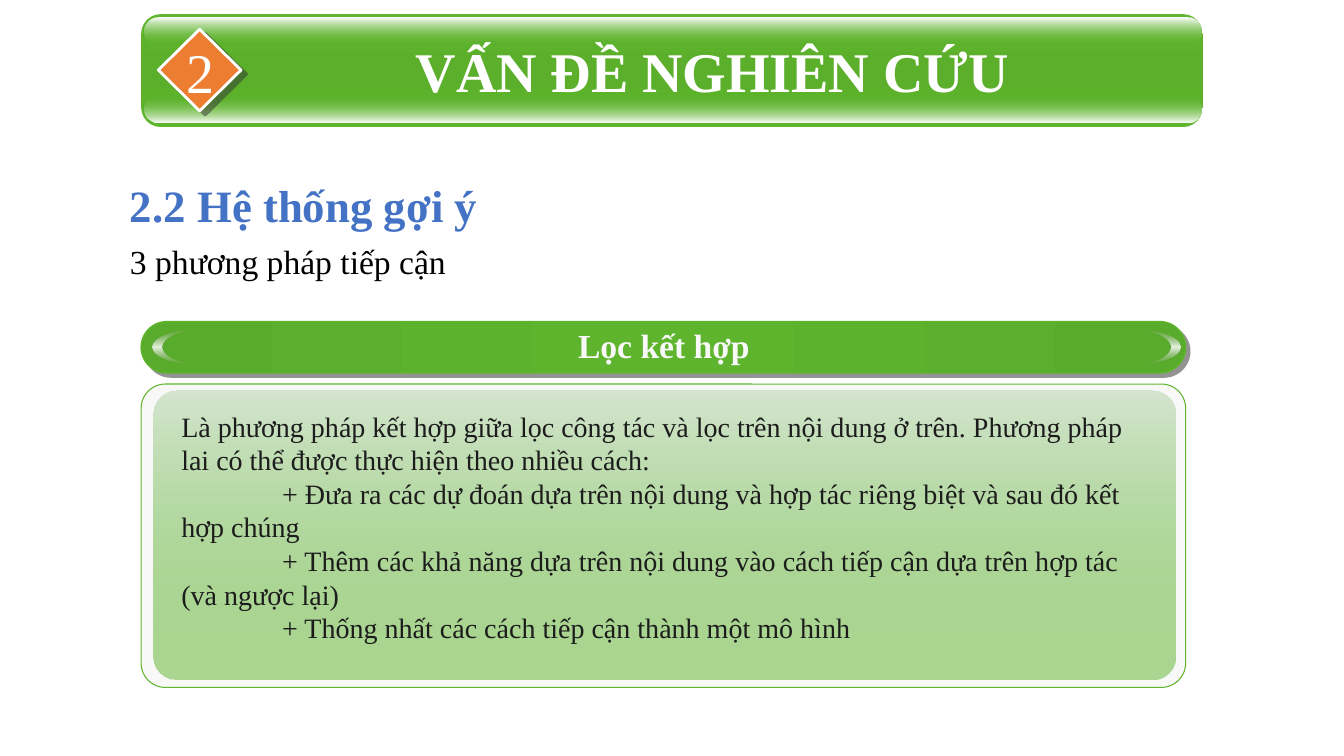
from lxml import etree
from pptx import Presentation
from pptx.dml.color import RGBColor
from pptx.enum.shapes import MSO_SHAPE as Shape
from pptx.enum.text import MSO_ANCHOR as Anchor, PP_ALIGN as Align
from pptx.oxml.ns import qn
from pptx.util import Inches, Pt

GREEN, WHITE, PALE = "5EB52D", "FFFFFF", "F8F8F8"


def rgb(value):
    return RGBColor.from_string(value)


def add_color(parent, color, alpha=100):
    node = etree.SubElement(parent, qn("a:srgbClr"), val=color)
    if alpha < 100:
        etree.SubElement(node, qn("a:alpha"), val=str(alpha * 1000))


class SlideBuilder:
    font_name = "Times New Roman"

    def __init__(self, slide):
        self.slide = slide
        self.shapes = slide.shapes

    def shape(self, kind, box, fill, adjust=None, line=None, angle=90, shadow=None):
        """Fill is a hex string or a list of (position, color, alpha) stops."""
        item = self.shapes.add_shape(kind, *map(Inches, box))
        if adjust is not None:
            item.adjustments[0] = adjust
        if isinstance(fill, str):
            item.fill.solid()
            item.fill.fore_color.rgb = rgb(fill)
        else:
            self.gradient(item, fill, angle)
        if line:
            color, width = line
            item.line.color.rgb = rgb(color)
            item.line.width = Pt(width)
        else:
            item.line.fill.background()
        item.shadow.inherit = False
        if shadow:
            self.shadow(item, *shadow)
        return item

    def gradient(self, item, stops, angle):
        item.fill.gradient()
        item.fill.gradient_angle = -angle % 360
        stop_list = item.element.spPr.find(".//" + qn("a:gsLst"))
        for old_stop in list(stop_list):
            stop_list.remove(old_stop)
        for position, color, alpha in stops:
            stop = etree.SubElement(stop_list, qn("a:gs"), pos=str(position * 1000))
            add_color(stop, color, alpha)

    def shadow(self, item, color, distance, direction):
        effects = item.element.spPr.find(qn("a:effectLst"))
        outer = etree.SubElement(
            effects, qn("a:outerShdw"), blurRad="0", dist=str(Pt(distance)),
            dir=str(direction * 60000), algn="ctr", rotWithShape="0")
        add_color(outer, color, 50)

    def paragraph(self, target, text, color, align=Align.LEFT, indent=0, spacing=None, **style):
        target.text = text
        target.alignment = align
        for name, value in (spacing or {}).items():
            setattr(target, name, value)
        if indent:
            target._p.get_or_add_pPr().set("indent", str(Inches(indent)))
        font = target.runs[0].font
        for name, value in {"name": self.font_name, **style}.items():
            setattr(font, name, value)
        font.color.rgb = rgb(color)

    def text(self, box, contents, wrap=True):
        frame = self.shapes.add_textbox(*map(Inches, box)).text_frame
        frame.word_wrap = wrap
        for index, content in enumerate(contents):
            target = frame.add_paragraph() if index else frame.paragraphs[0]
            self.paragraph(target, **content)

    def title(self, box, **content):
        title = self.shapes.title
        title.left, title.top, title.width, title.height = map(Inches, box)
        frame = title.text_frame
        frame.word_wrap = True
        frame.vertical_anchor = Anchor.TOP
        self.paragraph(frame.paragraphs[0], **content)
        self.shapes._spTree.append(title.element)  # bring above the banner


def main():
    deck = Presentation()
    deck.slide_width, deck.slide_height = Inches(13.33), Inches(7.5)
    builder = SlideBuilder(deck.slides.add_slide(deck.slide_layouts[5]))
    rounded = Shape.ROUNDED_RECTANGLE

    # Banner with glossy edges
    builder.shape(rounded, (1.4, 0.14, 10.53, 1.12),
                  [(0, GREEN, 100), (50, "5BAF2B", 100), (100, GREEN, 100)], 0.175)
    builder.shape(rounded, (1.43, 0.95, 10.49, 0.27),
                  [(0, GREEN, 0), (100, WHITE, 100)], 0.5)
    builder.shape(rounded, (1.43, 0.17, 10.49, 0.27),
                  [(0, WHITE, 100), (100, GREEN, 0)], 0.5)
    builder.title((2.18, 0.31, 9.77, 0.77), text="VẤN ĐỀ NGHIÊN CỨU", color=WHITE,
                  align=Align.CENTER, size=Pt(40), bold=True)

    # Section number
    builder.shape(Shape.DIAMOND, (1.57, 0.29, 0.82, 0.81), "ED7D31",
                  line=(WHITE, 2), shadow=("333333", 5, 37))
    builder.text((1.75, 0.32, 0.43, 0.75), [
        dict(text="2", color=WHITE, align=Align.CENTER, size=Pt(40))], wrap=False)

    # Section heading
    spacing = {"line_spacing": 0.9, "space_before": Pt(10)}
    builder.text((1.19, 1.77, 10.95, 1.2), [
        dict(text="2.2 Hệ thống gợi ý", color="4472C4", spacing=spacing,
             size=Pt(32), bold=True),
        dict(text="3 phương pháp tiếp cận", color="000000", spacing=spacing, size=Pt(24))])

    # Method panel
    builder.shape(rounded, (1.4, 3.81, 10.36, 3.01), PALE, 0.08, (GREEN, 0.75))
    builder.shape(rounded, (1.52, 3.88, 10.14, 2.86),
                  [(0, "D5E6D0", 100), (100, GREEN, 50)], 0.079)

    # Method header with a highlight at each end
    builder.shape(rounded, (1.4, 3.19, 10.36, 0.51),
                  [(0, "59AC2B", 100), (50, GREEN, 100), (100, "59AC2B", 100)],
                  0.5, (GREEN, 1), angle=0, shadow=("292929", 4.2, 45))
    for left, flipped in ((11.25, True), (1.51, False)):
        highlight = builder.shape(Shape.MOON, (left, 3.27, 0.46, 0.35),
                                  [(0, "B6B6B6", 0), (50, WHITE, 84), (100, "B6B6B6", 0)], 0.22)
        if flipped:
            highlight.element.spPr.xfrm.set("flipH", "1")
    builder.text((1.57, 3.17, 10.03, 0.5), [
        dict(text="Lọc kết hợp", color=PALE, align=Align.CENTER, size=Pt(24), bold=True)])

    # Method description
    summary = ("Là phương pháp kết hợp giữa lọc công tác và lọc trên nội dung ở trên. "
               "Phương pháp lai có thể được thực hiện theo nhiều cách:")
    ways = [
        "+ Đưa ra các dự đoán dựa trên nội dung và hợp tác riêng biệt và sau đó kết hợp chúng",
        "+ Thêm các khả năng dựa trên nội dung vào cách tiếp cận dựa trên hợp tác (và ngược lại)",
        "+ Thống nhất các cách tiếp cận thành một mô hình",
    ]
    body = dict(color="1C1C1C", size=Pt(20))
    builder.text((1.7, 4.01, 9.77, 2.46), [
        dict(text=summary, **body), *(dict(text=way, indent=1, **body) for way in ways)])

    deck.save("out.pptx")


if __name__ == "__main__":
    main()
